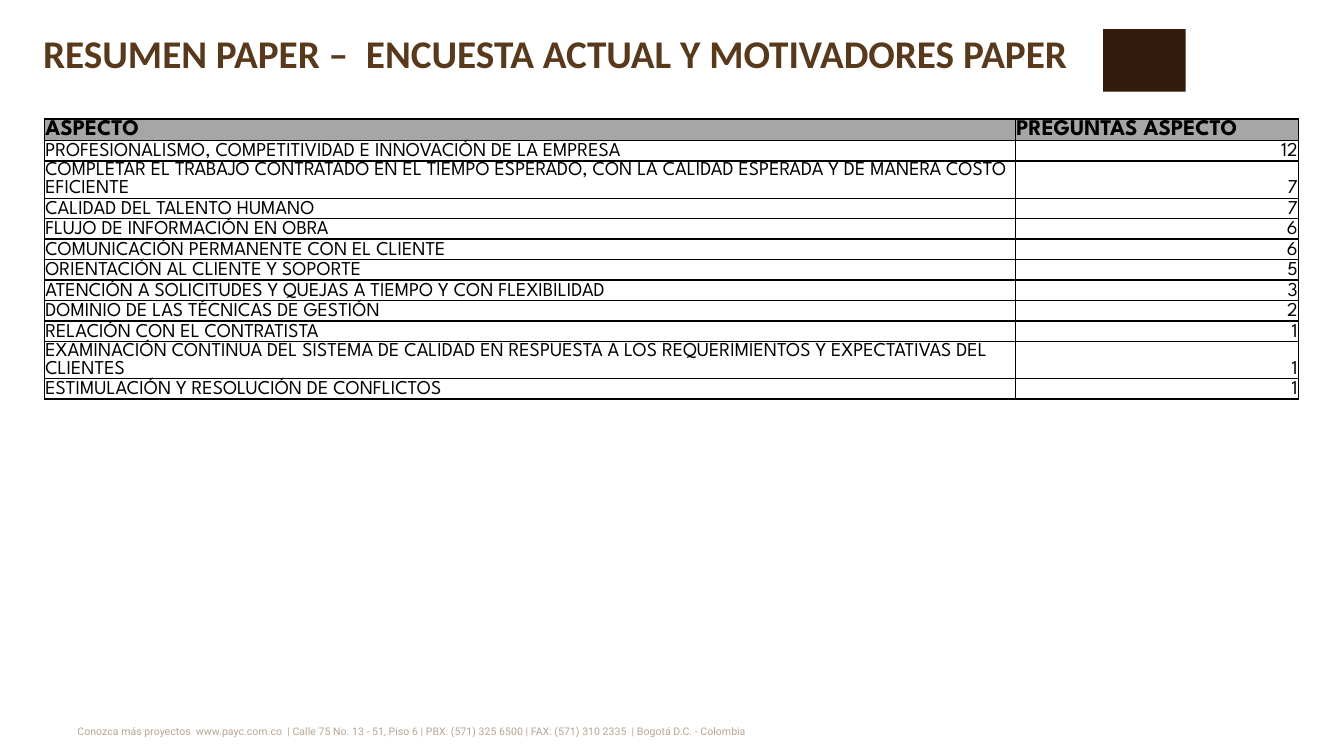
from lxml import etree
from pptx import Presentation
from pptx.dml.color import RGBColor
from pptx.enum import shapes, text
from pptx.oxml import ns
from pptx.util import Inches, Pt


def color(value):
    return RGBColor.from_string(value)


def style(para, font_name, size, hue, bold=False):
    for span in para.runs:
        span.font.name = font_name
        span.font.size = Pt(size)
        span.font.bold = bold
        span.font.color.rgb = color(hue)


deck = Presentation()
deck.slide_width, deck.slide_height = Inches(13.33), Inches(7.5)
page = deck.slides.add_slide(deck.slide_layouts[6])

# Footer, set as raised small text
footer = page.shapes.add_textbox(Inches(0.67), Inches(7.12), Inches(10.27), Inches(0.39))
footer.text_frame.word_wrap = True
footer.text_frame.text = (
    "Conozca más proyectos  www.payc.com.co  | Calle 75 No. 13 - 51, Piso 6 | "
    "PBX: (571) 325 6500 | FAX: (571) 310 2335  | Bogotá D.C. - Colombia"
)
footer_para = footer.text_frame.paragraphs[0]
style(footer_para, "Roboto", 13, "B8A592")
footer_para.runs[0].font._element.set("baseline", "30000")

# Brown block beside the title
block = page.shapes.add_shape(
    shapes.MSO_SHAPE.RECTANGLE, Inches(10.94), Inches(0.29), Inches(0.82), Inches(0.62)
)
block.shadow.inherit = False
block.fill.solid()
block.fill.fore_color.rgb = color("321B0B")
block.line.fill.background()

# Title
title = page.shapes.add_textbox(Inches(0.33), Inches(0.24), Inches(10.55), Inches(0.73))
title.text_frame.word_wrap = True
title.text_frame.text = "RESUMEN PAPER –  ENCUESTA ACTUAL Y MOTIVADORES PAPER"
style(title.text_frame.paragraphs[0], "Calibri", 28, "58391C", bold=True)

# Questions per aspect
rows = [
    ("ASPECTO", "PREGUNTAS ASPECTO"),
    ("PROFESIONALISMO, COMPETITIVIDAD E INNOVACIÓN DE LA EMPRESA", 12),
    ("COMPLETAR EL TRABAJO CONTRATADO EN EL TIEMPO ESPERADO, CON LA CALIDAD "
     "ESPERADA Y DE MANERA COSTO EFICIENTE", 7),
    ("CALIDAD DEL TALENTO HUMANO", 7),
    ("FLUJO DE INFORMACIÓN EN OBRA", 6),
    ("COMUNICACIÓN PERMANENTE CON EL CLIENTE", 6),
    ("ORIENTACIÓN AL CLIENTE Y SOPORTE", 5),
    ("ATENCIÓN A SOLICITUDES Y QUEJAS A TIEMPO Y CON FLEXIBILIDAD", 3),
    ("DOMINIO DE LAS TÉCNICAS DE GESTIÓN", 2),
    ("RELACIÓN CON EL CONTRATISTA", 1),
    ("EXAMINACIÓN CONTINUA DEL SISTEMA DE CALIDAD EN RESPUESTA A LOS "
     "REQUERIMIENTOS Y EXPECTATIVAS DEL CLIENTES", 1),
    ("ESTIMULACIÓN Y RESOLUCIÓN DE CONFLICTOS", 1),
]
table_height = Inches(2.44)
line_ratio = 0.92  # line height of League Spartan relative to its size
table = page.shapes.add_table(
    len(rows), 2, Inches(0.44), Inches(1.18), Inches(12.44), table_height
).table
table.columns[0].width, table.columns[1].width = Inches(9.63), Inches(2.81)

for row_index, values in enumerate(rows):
    is_header = row_index == 0
    size = 16 if is_header else 14
    table.rows[row_index].height = table_height // len(rows)
    for column_index, value in enumerate(values):
        cell = table.cell(row_index, column_index)
        cell.margin_left = cell.margin_right = cell.margin_top = Inches(0.01)
        cell.margin_bottom = 0
        cell.vertical_anchor = text.MSO_ANCHOR.MIDDLE if is_header else text.MSO_ANCHOR.BOTTOM
        cell.text_frame.text = str(value)
        para = cell.text_frame.paragraphs[0]
        para.line_spacing = Pt(size * line_ratio)
        if column_index == 1 and not is_header:
            para.alignment = text.PP_ALIGN.RIGHT
        style(para, "League Spartan", size, "000000", bold=is_header)

        # Thin black border on every side, then the fill
        properties = cell._tc.get_or_add_tcPr()
        for side in ("a:lnL", "a:lnR", "a:lnT", "a:lnB"):
            border = etree.SubElement(properties, ns.qn(side), w=str(Pt(1)))
            border_fill = etree.SubElement(border, ns.qn("a:solidFill"))
            etree.SubElement(border_fill, ns.qn("a:srgbClr"), val="000000")
        cell.fill.solid()
        cell.fill.fore_color.rgb = color("A6A6A6" if is_header else "FFFFFF")

deck.save("out.pptx")
